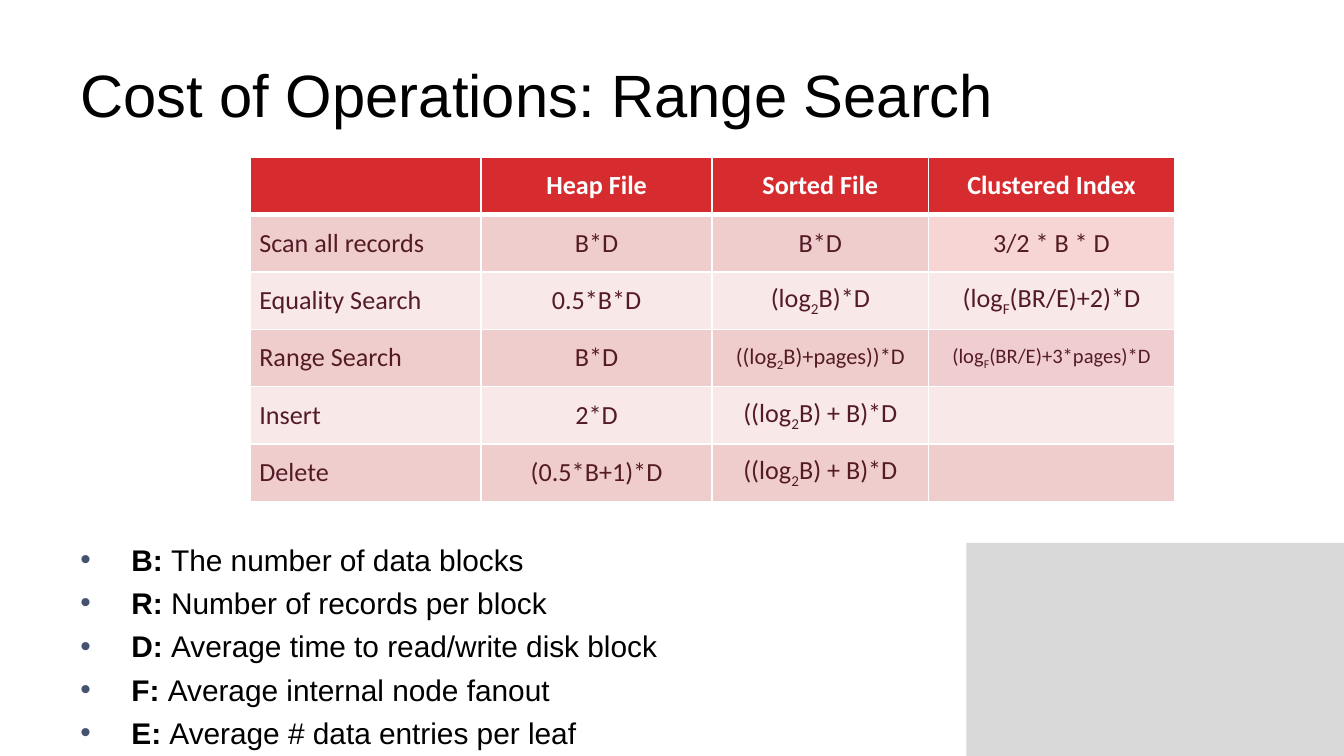
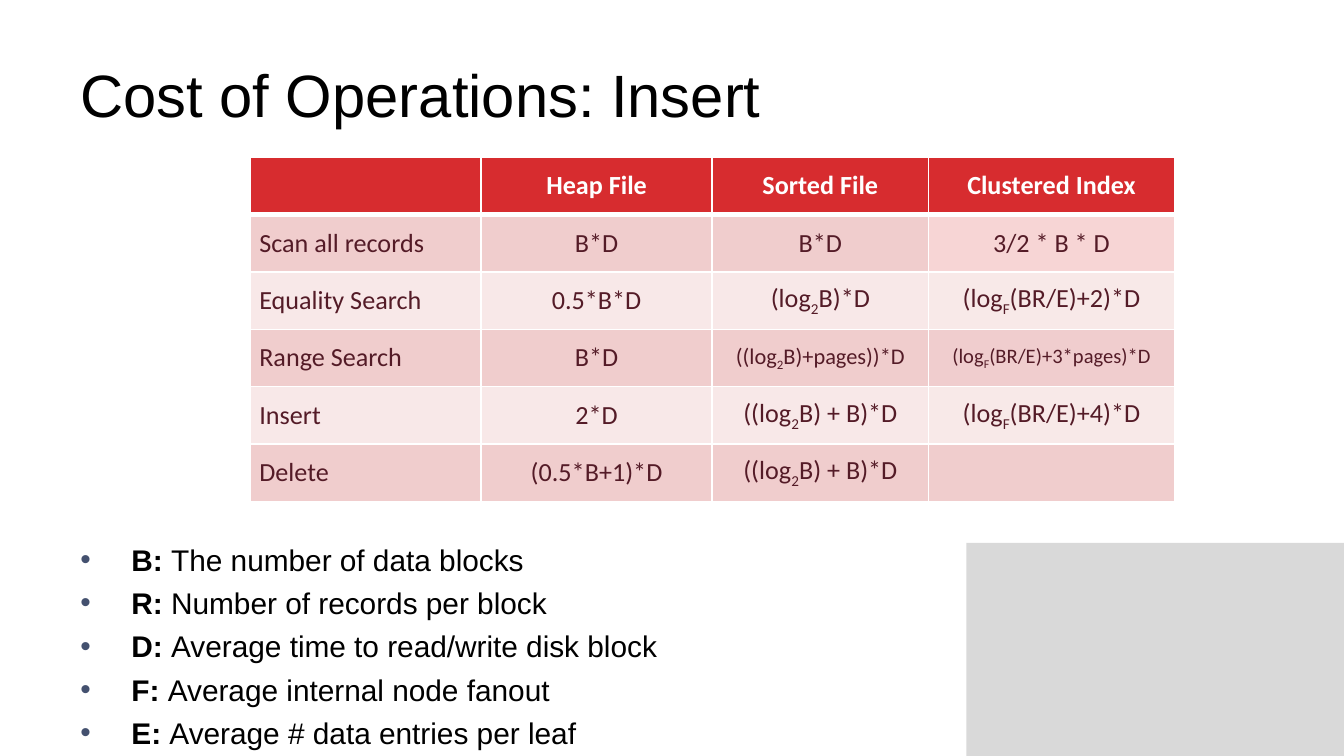
from lxml import etree
from pptx import Presentation
from pptx.dml.color import RGBColor
from pptx.enum.shapes import MSO_SHAPE
from pptx.enum.text import MSO_ANCHOR, PP_ALIGN
from pptx.oxml.ns import qn
from pptx.util import Inches, Pt

RECT = MSO_SHAPE.RECTANGLE
MIDDLE = MSO_ANCHOR.MIDDLE
LEFT, CENTER = PP_ALIGN.LEFT, PP_ALIGN.CENTER

# The slide is a grid of square units, ten to the inch.
UNIT = Inches(0.1)
COLS, ROWS = 100, 56.25

COLORS = {
    "text": "000000", "white": "FFFFFF", "corner": "D9D9D9", "bullet": "44516F",
    "header": "D72C2F", "cell": "541B27", "band_dark": "F0CDCD",
    "band_light": "F8E8E8", "scan": "F7D5D5", "formula": "F8E9E8", "range": "F0CDCE",
}
TITLE = {"name": "Arial", "size": 32, "color": "text"}
TERM = {"name": "Arial", "size": 16, "color": "text", "bold": True}
MEANING = {**TERM, "bold": False}
HEADER = {"name": "Calibri", "size": 14, "color": "white", "bold": True}
CELL = {"name": "Calibri", "size": 14, "color": "cell", "bold": False}

# An underscore makes the next character a subscript.
COSTS = [
    ["", "Heap File", "Sorted File", "Clustered Index"],
    ["Scan all records", "B*D", "B*D", "3/2 * B * D"],
    ["Equality Search", "0.5*B*D", "(log_2B)*D", "(log_F(BR/E)+2)*D"],
    ["Range Search", "B*D", "((log_2B)+pages))*D", "(log_F(BR/E)+3*pages)*D"],
    ["Insert", "2*D", "((log_2B) + B)*D", "(log_F(BR/E)+4)*D"],
    ["Delete", "(0.5*B+1)*D", "((log_2B) + B)*D", ""],
]
COL_WIDTHS = [17.2, 17.2, 16.1, 18.3]
ROW_HEIGHT = 4.27
INSERT_COST = (4, 3)
SMALL_TEXT = {(3, 2): 12, (3, 3): 11}
CELL_FILLS = {(1, 3): "scan", (2, 3): "formula", (3, 3): "range", INSERT_COST: "formula"}

LEGEND = {
    "B": "The number of data blocks",
    "R": "Number of records per block",
    "D": "Average time to read/write disk block",
    "F": "Average internal node fanout",
    "E": "Average # data entries per leaf",
}


def rgb(name):
    return RGBColor.from_string(COLORS[name])


def grid(*units):
    return [round(u * UNIT) for u in units]


def add_run(p, text, fmt, subscript=False):
    r = p.add_run()
    r.text = text
    for key, value in fmt.items():
        if key == "color":
            r.font.color.rgb = rgb(value)
        else:
            setattr(r.font, key, Pt(value) if key == "size" else value)
    if subscript:
        r._r.get_or_add_rPr().set("baseline", "-25000")


def add_formula(p, text, fmt):
    head, *tails = text.split("_")
    add_run(p, head, fmt)
    for tail in tails:
        add_run(p, tail[0], fmt, subscript=True)
        add_run(p, tail[1:], fmt)


def add_text_box(s, *place):
    tf = s.shapes.add_textbox(*grid(*place)).text_frame
    tf.word_wrap = True
    return tf


def add_corner(s):
    width, height = 28.1, 15.85
    sp = s.shapes.add_shape(RECT, *grid(COLS - width, ROWS - height, width, height))
    sp.shadow.inherit = False
    sp.fill.solid()
    sp.fill.fore_color.rgb = rgb("corner")
    sp.line.fill.background()


def add_title(s, text):
    tf = add_text_box(s, 5, 2.3, 90, 9.4)
    tf.vertical_anchor = MIDDLE
    add_run(tf.paragraphs[0], text, TITLE)


def set_borders(cell, **widths):
    tcPr = cell._tc.get_or_add_tcPr()
    for side in "LRTB":
        ln = etree.SubElement(tcPr, qn(f"a:ln{side}"), w=str(Pt(widths.get(side, 1))))
        fill = etree.SubElement(ln, qn("a:solidFill"))
        etree.SubElement(fill, qn("a:srgbClr"), val=COLORS["white"])


def style_cell(cell, row, col):
    widths = {0: {"B": 3}, 1: {"T": 3}}.get(row, {})
    set_borders(cell, **widths)
    band = "header" if row == 0 else "band_dark" if row % 2 else "band_light"
    cell.fill.solid()
    cell.fill.fore_color.rgb = rgb(CELL_FILLS.get((row, col), band))
    cell.vertical_anchor = MIDDLE
    cell.margin_left = cell.margin_right = Inches(0.07)
    cell.margin_top = cell.margin_bottom = Inches(0.04)


def add_cost_table(s, blank_cells):
    size = sum(COL_WIDTHS), ROW_HEIGHT * len(COSTS)
    frame = s.shapes.add_table(len(COSTS), len(COL_WIDTHS), *grid(18.6, 11.7, *size))
    table = frame.table
    table.horz_banding = False
    for column, width in zip(table.columns, grid(*COL_WIDTHS)):
        column.width = width
    for row, texts in enumerate(COSTS):
        for col, text in enumerate(texts):
            cell = table.cell(row, col)
            if (row, col) in blank_cells:
                cell_fill_key, text = None, ""
            style_cell(cell, row, col)
            p = cell.text_frame.paragraphs[0]
            p.alignment = CENTER if col else LEFT
            fmt = CELL if row else HEADER
            if text:
                add_formula(p, text, {**fmt, "size": SMALL_TEXT.get((row, col), fmt["size"])})


def set_bullet(p):
    pPr = p._p.get_or_add_pPr()
    indent = Inches(0.38)
    pPr.set("marL", str(indent))
    pPr.set("indent", str(-indent))
    color = etree.SubElement(pPr, qn("a:buClr"))
    etree.SubElement(color, qn("a:srgbClr"), val=COLORS["bullet"])
    etree.SubElement(pPr, qn("a:buFont"), typeface="Arial")
    etree.SubElement(pPr, qn("a:buChar"), char="•")


def add_legend(s):
    tf = add_text_box(s, 5, 39.8, 90, 37.1)
    for i, (term, meaning) in enumerate(LEGEND.items()):
        p = tf.add_paragraph() if i else tf.paragraphs[0]
        set_bullet(p)
        if i:
            p.space_before = Pt(4)
        add_run(p, f"{term}: ", TERM)
        add_run(p, meaning, MEANING)


def add_cost_slide(prs, operation, blank_cells=()):
    s = prs.slides.add_slide(prs.slide_layouts[6])
    add_corner(s)
    add_title(s, f"Cost of Operations: {operation}")
    add_cost_table(s, blank_cells)
    add_legend(s)


def main():
    prs = Presentation()
    prs.slide_width, prs.slide_height = grid(COLS, ROWS)
    add_cost_slide(prs, "Range Search", blank_cells=[INSERT_COST])
    add_cost_slide(prs, "Insert")
    prs.save("out.pptx")


if __name__ == "__main__":
    main()
